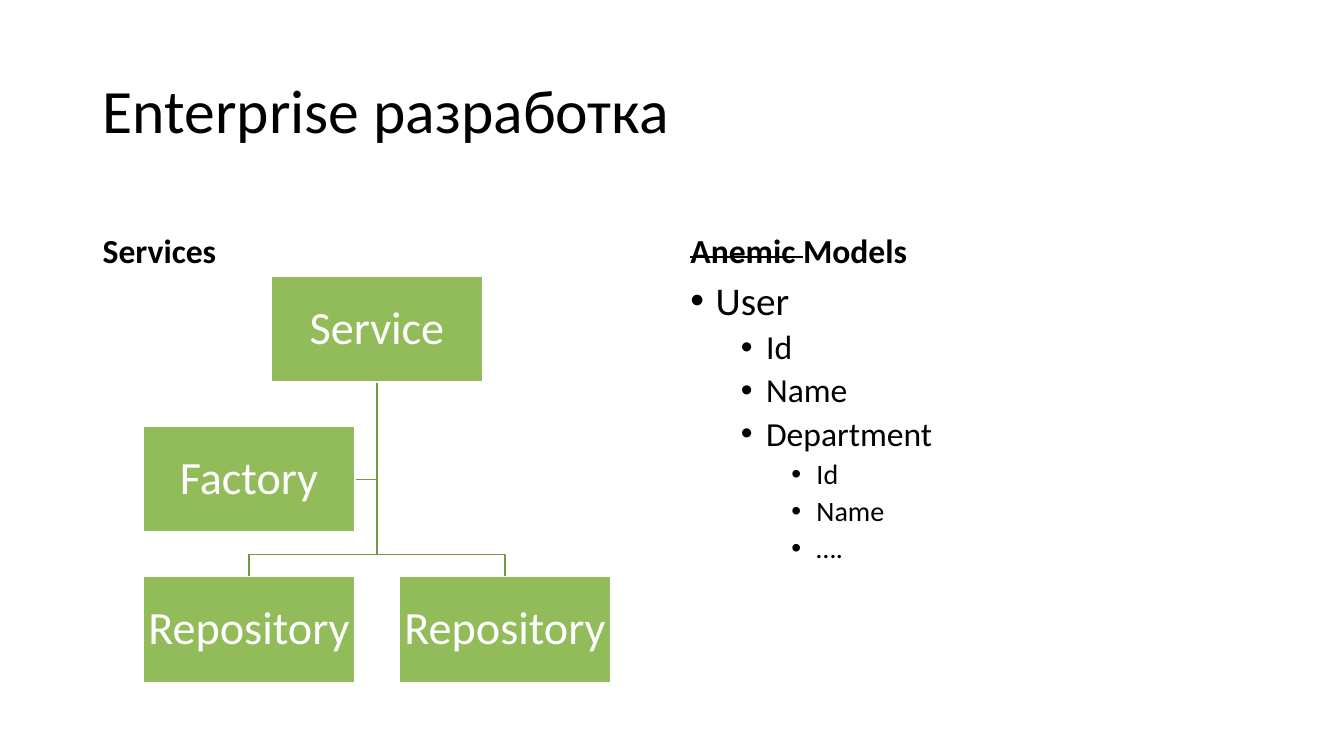
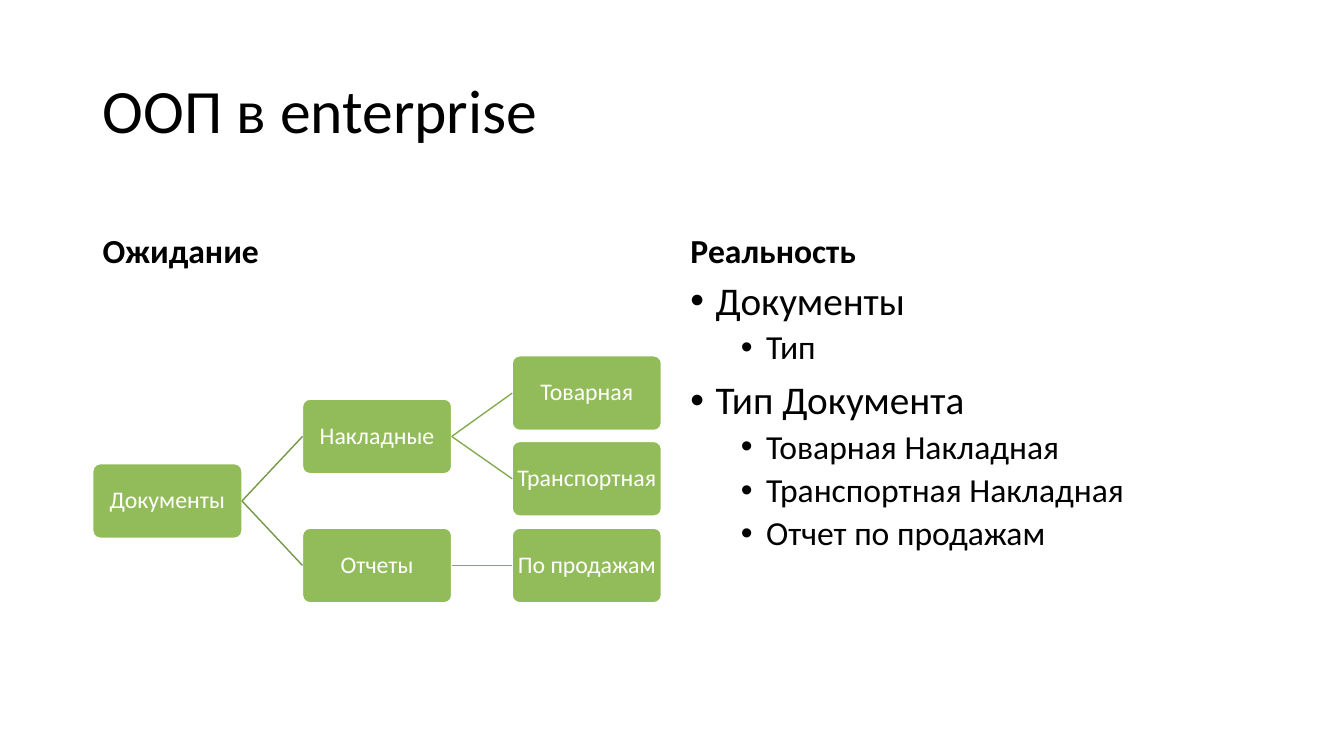
from lxml.etree import SubElement
from pptx import Presentation
from pptx.dml.color import RGBColor
from pptx.enum.shapes import MSO_CONNECTOR as Link, MSO_SHAPE as Kind
from pptx.enum.text import MSO_ANCHOR as Anchor, PP_ALIGN as Align
from pptx.oxml.ns import qn
from pptx.util import Inches, Pt

BLACK = RGBColor(0x00, 0x00, 0x00)
WHITE = RGBColor(0xFF, 0xFF, 0xFF)
GREEN = RGBColor(0x92, 0xBC, 0x5A)
DARK = RGBColor(0x75, 0x97, 0x48)
MID = RGBColor(0x85, 0xAB, 0x52)
FONT = "Calibri"

LEFT, RIGHT = 0.92, 6.75
# Level: text size, indent in inches, space before
LEVELS = [(28, 0.25, 10), (24, 0.75, 5), (20, 1.25, 5)]
HANG = 0.25

PAGES = [
    ("Enterprise разработка", ["Services"], ["Anemic ", "Models"],
     [(0, "User"), (1, "Id"), (1, "Name"), (1, "Department"),
      (2, "Id"), (2, "Name"), (2, "….")]),
    ("ООП в enterprise", ["Ожидание"], ["Реальность"],
     [(0, "Документы"), (1, "Тип"), (0, "Тип Документа"),
      (1, "Товарная Накладная"), (1, "Транспортная Накладная"),
      (1, "Отчет по продажам")]),
]


def write(para, parts, size, color=BLACK, bold=False, align=Align.LEFT, before=0):
    para.line_spacing = 0.9
    para.space_before = Pt(before)
    para.alignment = align
    for part in parts:
        run = para.add_run()
        run.text = part
        look = {"name": FONT, "size": Pt(size), "bold": bold}
        for key, value in look.items():
            setattr(run.font, key, value)
        run.font.color.rgb = color


def add_box(slide, kind, spot, size, text, points, inset):
    box = slide.shapes.add_shape(kind, *map(Inches, spot + size))
    box.shadow.inherit = False
    box.fill.solid()
    box.fill.fore_color.rgb = GREEN
    box.line.color.rgb = WHITE
    box.line.width = Pt(1)
    frame = box.text_frame
    for side in ("left", "top", "right", "bottom"):
        setattr(frame, "margin_" + side, Inches(inset))
    frame.vertical_anchor = Anchor.MIDDLE
    frame.word_wrap = True
    write(frame.paragraphs[0], [text], points, WHITE, align=Align.CENTER)
    return box


deck = Presentation()
deck.slide_width, deck.slide_height = Inches(13.33), Inches(7.5)

# Titles, column heads and bullet lists
slides = []
for name, left, right, items in PAGES:
    slide = deck.slides.add_slide(deck.slide_layouts[5])
    slides.append(slide)
    title = slide.shapes.title
    title.left, title.top = Inches(LEFT), Inches(0.4)
    title.width, title.height = Inches(11.5), Inches(1.45)
    title.text_frame.vertical_anchor = Anchor.MIDDLE
    write(title.text_frame.paragraphs[0], [name], 44)

    for x, wide, parts in ((LEFT, 5.64, left), (RIGHT, 5.67, right)):
        head = slide.shapes.add_textbox(
            Inches(x), Inches(1.84), Inches(wide), Inches(0.9)).text_frame
        head.word_wrap = True
        head.vertical_anchor = Anchor.BOTTOM
        write(head.paragraphs[0], parts, 24, bold=True, before=10)
        if len(parts) > 1:
            first = head.paragraphs[0].runs[0]
            first.font._element.set("strike", "sngStrike")

    body = slide.shapes.add_textbox(
        Inches(RIGHT), Inches(2.74), Inches(5.67), Inches(4.03)).text_frame
    body.word_wrap = True
    for i, (level, text) in enumerate(items):
        para = body.add_paragraph() if i else body.paragraphs[0]
        size, indent, before = LEVELS[level]
        para.level = level
        write(para, [text], size, before=before)
        props = para._p.get_or_add_pPr()
        props.set("marL", str(Inches(indent)))
        props.set("indent", str(-Inches(HANG)))
        SubElement(props, qn("a:buFont")).set("typeface", "Arial")
        SubElement(props, qn("a:buChar")).set("char", "•")

# Slide 1: service chart, lines behind the boxes
chart = slides[0]
WIDE, HIGH = 2.1, 1.05
ROWS = [2.74 + i * 1.49 for i in range(3)]
ONE, TWO = 1.42, 3.96
HUB = (ONE + TWO + WIDE) / 2
BASE, BEND = ROWS[0] + HIGH, 5.5
arm = ROWS[1] + HIGH / 2
routes = [[(HUB, arm), (ONE + WIDE, arm)]]
for x in (ONE, TWO):
    mid = x + WIDE / 2
    routes.append([(HUB, BEND), (mid, BEND), (mid, ROWS[2])])
for route in routes:
    pen = chart.shapes.build_freeform(Inches(HUB), Inches(BASE))
    pen.add_line_segments([(Inches(x), Inches(y)) for x, y in route], close=False)
    line = pen.convert_to_shape()
    line.shadow.inherit = False
    line.fill.background()
    line.line.color.rgb = DARK
    line.line.width = Pt(1)

for x, row, text in ((HUB - WIDE / 2, 0, "Service"), (ONE, 1, "Factory"),
                     (ONE, 2, "Repository"), (TWO, 2, "Repository")):
    add_box(chart, Kind.RECTANGLE, (x, ROWS[row]), (WIDE, HIGH), text, 33, 0.02)

# Slide 2: document tree, each node with its column, top and parent
tree = slides[1]
NODES = [
    ("Документы", 0, 4.6, None),
    ("Накладные", 1, 3.96, "Документы"),
    ("Товарная", 2, 3.53, "Накладные"),
    ("Транспортная", 2, 4.38, "Накладные"),
    ("Отчеты", 1, 5.24, "Документы"),
    ("По продажам", 2, 5.24, "Отчеты"),
]
boxes = {}
for text, col, top, above in NODES:
    box = add_box(tree, Kind.ROUNDED_RECTANGLE, (LEFT + col * 2.08, top),
                  (1.48, 0.74), text, 17, 0)
    box.adjustments[0] = 0.1
    boxes[text] = box
    if above:
        link = tree.shapes.add_connector(Link.STRAIGHT, 0, 0, 0, 0)
        link.begin_connect(boxes[above], 3)
        link.end_connect(box, 1)
        link.line.color.rgb = DARK if col == 1 else MID
        link.line.width = Pt(1)
        SubElement(link._element.spPr, qn("a:effectLst"))

deck.save("out.pptx")
